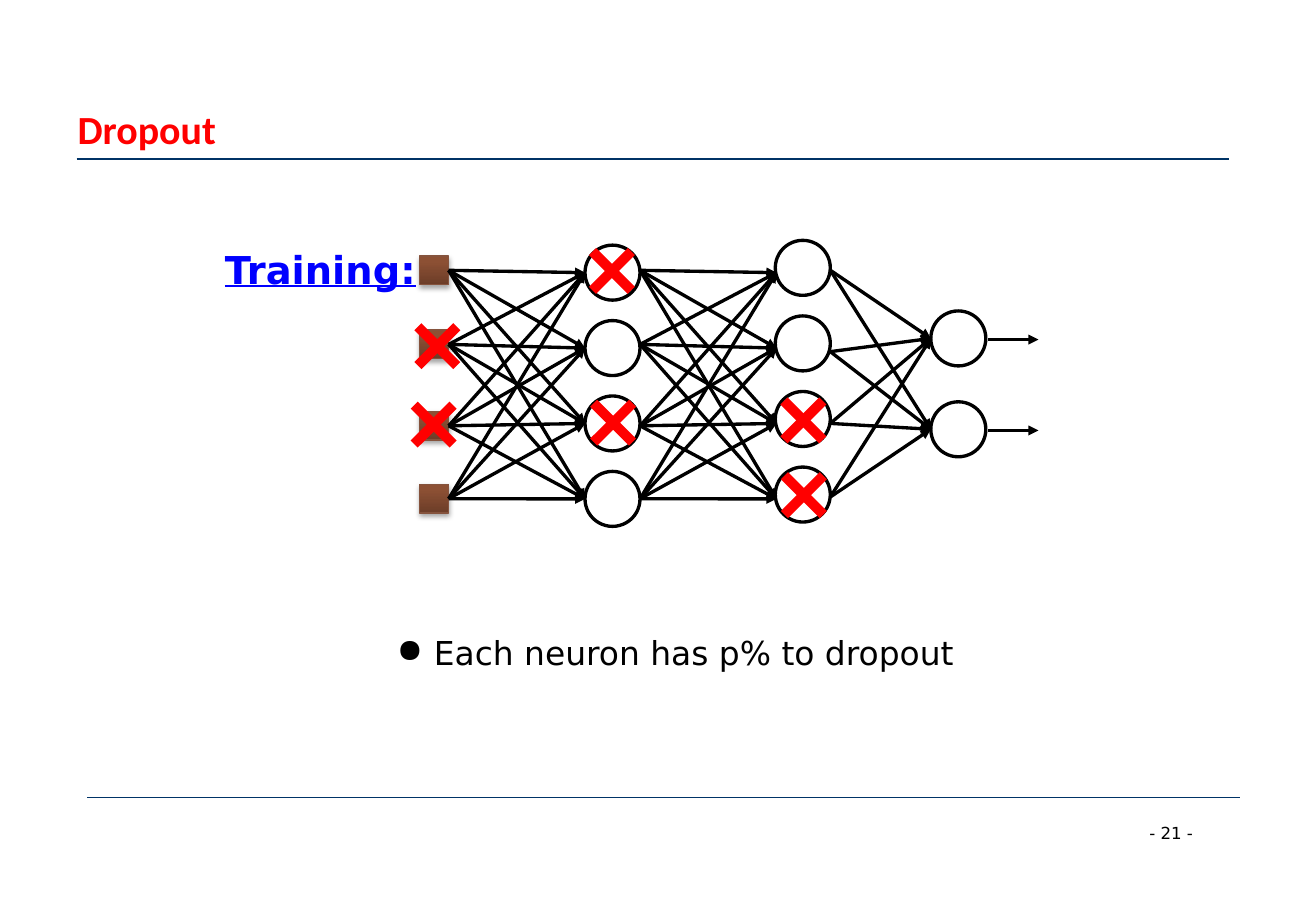
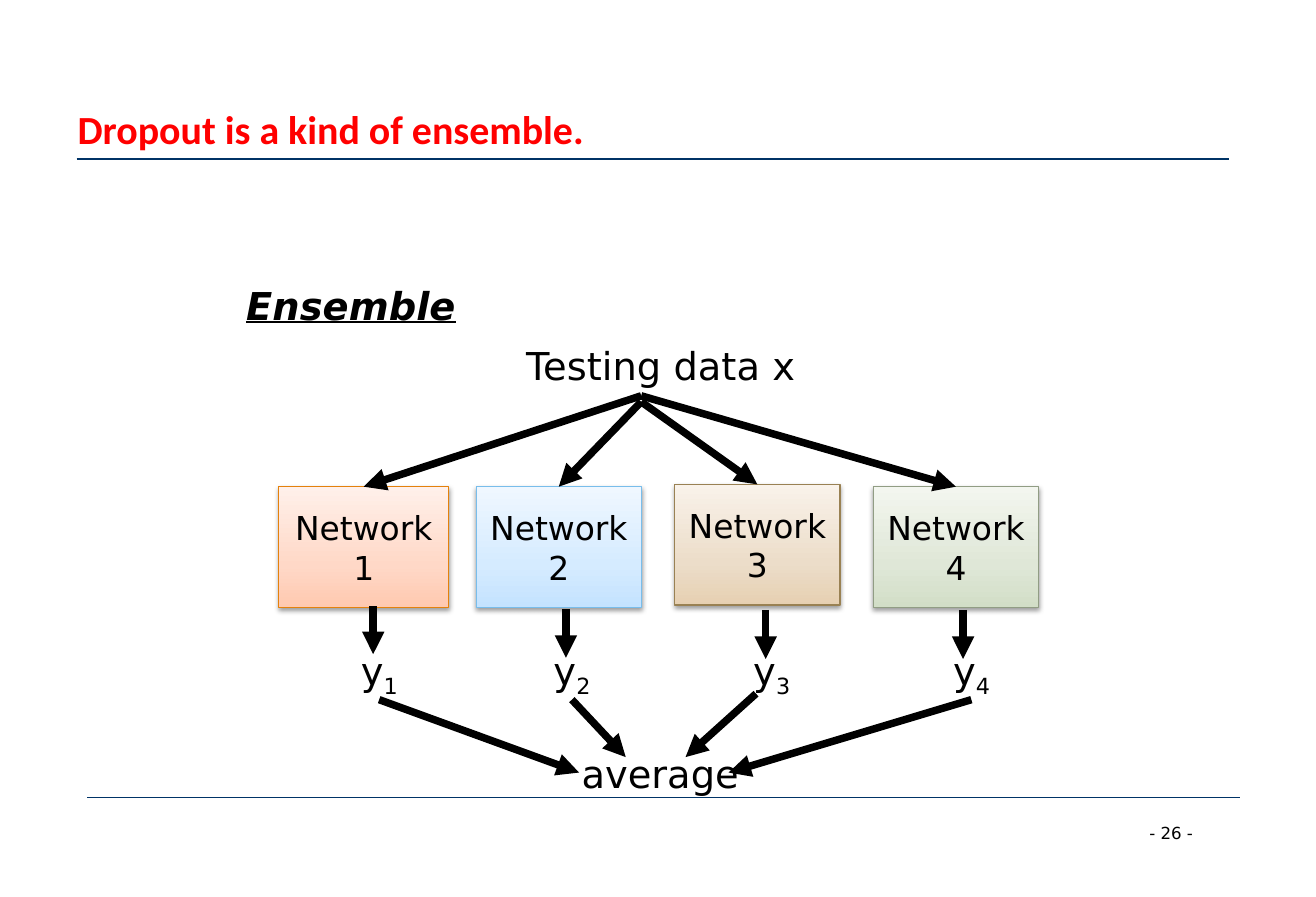
"""Build two slides on dropout: the thinned network and the ensemble view."""
from copy import deepcopy
from dataclasses import dataclass
from itertools import product

from lxml import etree
from pptx import Presentation
from pptx.dml.color import RGBColor
from pptx.enum.shapes import MSO_CONNECTOR, MSO_SHAPE
from pptx.enum.text import MSO_ANCHOR, PP_ALIGN
from pptx.oxml.ns import qn
from pptx.shapes.autoshape import Shape
from pptx.shapes.connector import Connector
from pptx.slide import Slide
from pptx.util import Pt

STRAIGHT = MSO_CONNECTOR.STRAIGHT
RECTANGLE, OVAL = MSO_SHAPE.RECTANGLE, MSO_SHAPE.OVAL
LEFT, CENTER = PP_ALIGN.LEFT, PP_ALIGN.CENTER
TOP, MIDDLE = MSO_ANCHOR.TOP, MSO_ANCHOR.MIDDLE
TOP_SIDE, RIGHT_SIDE = 0, 3

COLOURS = {"ink": "000000", "red": "FF0000", "blue": "0000FF", "rule": "003366",
           "input_edge": "85533D"}
FONT = "DejaVu Sans"
FORMATS = {
    "title": {"name": "Calibri", "size": Pt(24), "bold": True},
    "number": {"name": FONT, "size": Pt(10)},
    "training": {"name": FONT, "size": Pt(23.1), "bold": True, "underline": True},
    "ensemble": {"name": FONT, "size": Pt(23.1), "bold": True, "italic": True,
                 "underline": True},
    "label": {"name": FONT, "size": Pt(23.1)},
    "body": {"name": FONT, "size": Pt(19.8)},
}
LABEL_HEIGHT = 35.3
NEURON_SIZE = 33.1
INPUT_SIZE = 17.3
INPUT_LEFT = 252.7
INPUT_TOPS = (154.1, 198.7, 247.7, 291.6)
INPUT_STOPS = ((0, "6C3D28"), (80, "8C5034"), (100, "8E4F32"))
CROSS_ARM = 11.7
CROSS_CENTRES = ((368.3, 163.1), (369, 254.5), (483.5, 253.1), (483.8, 298.1),
                 (261, 255.6), (263.2, 208.4))

Point = tuple[float, float]
Stops = tuple[tuple[int, str], ...]


@dataclass(frozen=True)
class Layer:
    """A column of equally spaced neurons."""
    left: float
    top: float
    step: float
    count: int

    def tops(self) -> list[float]:
        """Return the top of every neuron."""
        return [self.top + self.step * row for row in range(self.count)]

    def centres(self) -> list[float]:
        """Return the vertical centre of every neuron."""
        return [top + NEURON_SIZE / 2 for top in self.tops()]


@dataclass(frozen=True)
class Network:
    """One ensemble member with its output label and arrows."""
    left: float
    top: float
    width: float
    edge: str
    stops: Stops
    source: Point
    output_left: float
    drop: tuple[float, float, float]
    vote: tuple[Point, Point]


FIRST_HIDDEN = Layer(352.1, 147.6, 45.4, 4)
SECOND_HIDDEN = Layer(466.6, 144.7, 45.5, 4)
OUTPUT = Layer(560.2, 187.2, 54.7, 2)

NETWORKS = (
    Network(167.8, 293, 102.2, "E4810C",
            ((0, "FFC9B0"), (35, "FFD8C7"), (100, "FFF0EA")),
            (385.9, 238.3), 203.8, (224.6, 365, 393.8), ((228.2, 421.2), (348.5, 465.1))),
    Network(286.6, 293, 99.4, "78BDEB",
            ((0, "C4E3FF"), (35, "D5EBFF"), (100, "EFF7FF")),
            (385.9, 241.9), 319.7, (340.6, 366.5, 396), ((344.2, 421.2), (376.6, 455.8))),
    Network(406.1, 291.6, 99.4, "998153",
            ((0, "E6D0B2"), (35, "ECDDC9"), (100, "F9F2EA")),
            (385.9, 241.9), 439.9, (460.8, 367.2, 396.7), ((455, 417.6), (412.6, 455.8))),
    Network(525.6, 293, 99.4, "919D84",
            ((0, "D2DEC7"), (35, "DFE7D7"), (100, "F3F6EF")),
            (385.9, 238.3), 560.2, (579.6, 367.2, 396.7), ((584.6, 421.2), (438.5, 465.1))),
)


def write(box: Shape, lines: list[str], style: str, colour: str = "ink",
          align: PP_ALIGN = LEFT, anchor: MSO_ANCHOR = TOP, wrap: bool = True,
          subscript: str = "") -> None:
    """Fill a shape with formatted paragraphs and an optional subscript."""
    frame = box.text_frame
    frame.word_wrap = wrap
    frame.vertical_anchor = anchor
    for index, line in enumerate(lines):
        para = frame.paragraphs[0] if index == 0 else frame.add_paragraph()
        para.alignment = align
        for text in filter(None, (line, subscript)):
            span = para.add_run()
            span.text = text
            span.font.color.rgb = RGBColor.from_string(COLOURS[colour])
            for name, value in FORMATS[style].items():
                setattr(span.font, name, value)
        if subscript:
            span.font._element.set("baseline", "-25000")


def add_text(page: Slide, left: float, top: float, width: float, height: float,
             text: str, style: str, **options) -> Shape:
    """Add a text box with one paragraph."""
    box = page.shapes.add_textbox(Pt(left), Pt(top), Pt(width), Pt(height))
    write(box, [text], style, **options)
    return box


def add_line(shapes, start: Point, end: Point, width: float = 2,
             colour: str = "ink", arrow: bool = True) -> Connector:
    """Add a straight line, with an arrowhead at its end if wanted."""
    line = shapes.add_connector(STRAIGHT, *map(Pt, start + end))
    line.line.color.rgb = RGBColor.from_string(COLOURS[colour])
    line.line.width = Pt(width)
    properties = line._element.spPr
    if arrow:
        etree.SubElement(properties.find(qn("a:ln")), qn("a:tailEnd"), type="triangle")
    etree.SubElement(properties, qn("a:effectLst"))
    return line


def add_gradient_box(page: Slide, left: float, top: float, width: float, height: float,
                     stops: Stops, edge: str, opacity: int, distance: float) -> Shape:
    """Add a rectangle shaded from bottom to top, with a soft shadow."""
    box = page.shapes.add_shape(RECTANGLE, Pt(left), Pt(top), Pt(width), Pt(height))
    box.fill.gradient()
    box.fill.gradient_angle = 90
    stop_list = box._element.spPr.find(qn("a:gradFill")).find(qn("a:gsLst"))
    stop_list.append(deepcopy(stop_list[0]))
    for stop, (position, colour) in zip(box.fill.gradient_stops, stops):
        stop.position = position / 100
        stop.color.rgb = RGBColor.from_string(colour)
    box.line.color.rgb = RGBColor.from_string(edge)
    box.line.width = Pt(0.75)
    box.shadow.inherit = False
    shadow = etree.SubElement(
        box._element.spPr.find(qn("a:effectLst")), qn("a:outerShdw"),
        blurRad=str(Pt(3.1)), dist=str(Pt(distance)), dir="5400000", rotWithShape="0")
    tint = etree.SubElement(shadow, qn("a:srgbClr"), val=COLOURS["ink"])
    etree.SubElement(tint, qn("a:alpha"), val=str(opacity * 1000))
    return box


def add_page(deck, title: str, number: int) -> Slide:
    """Add a slide with the shared title, rules and page number."""
    page = deck.slides.add_slide(deck.slide_layouts[6])
    for left, top in ((46.1, 95.8), (52.6, 480.2)):
        add_line(page.shapes, (left, top), (left + 693.4, top), 0.75, "rule", False)
    add_text(page, 684.7, 491.8, 48.2, 19.4, f"- {number} -", "number", wrap=False)
    add_text(page, 39.6, 59.8, 554.4, 34.6, title, "title", colour="red", anchor=MIDDLE)
    return page


def add_neurons(page: Slide, layer: Layer) -> None:
    """Draw the circles of one layer."""
    for top in layer.tops():
        neuron = page.shapes.add_shape(OVAL, Pt(layer.left), Pt(top),
                                       Pt(NEURON_SIZE), Pt(NEURON_SIZE))
        neuron.fill.background()
        neuron.line.color.rgb = RGBColor.from_string(COLOURS["ink"])
        neuron.line.width = Pt(2)
        neuron.shadow.inherit = False


def add_cross(page: Slide, centre: Point) -> None:
    """Cross out one dropped unit."""
    x, y = centre
    group = page.shapes.add_group_shape()
    for side in (-CROSS_ARM, CROSS_ARM):
        add_line(group.shapes, (x + side, y - CROSS_ARM), (x - side, y + CROSS_ARM),
                 6, "red", False)


def build_dropout(deck) -> None:
    """Draw the network with dropped units."""
    page = add_page(deck, "Dropout", 21)
    add_text(page, 128.2, 144.7, 150.5, LABEL_HEIGHT, "Training:", "training", colour="blue")
    for layer in (FIRST_HIDDEN, SECOND_HIDDEN, OUTPUT):
        add_neurons(page, layer)
    inputs = [add_gradient_box(page, INPUT_LEFT, top, INPUT_SIZE, INPUT_SIZE, INPUT_STOPS,
                               COLOURS["input_edge"], 35, 1.8) for top in INPUT_TOPS]
    input_centres = [top + INPUT_SIZE / 2 for top in INPUT_TOPS]
    first_centres = FIRST_HIDDEN.centres()

    for unit, end in product(inputs, first_centres):
        edge = add_line(page.shapes, (INPUT_LEFT, end), (FIRST_HIDDEN.left, end))
        edge.begin_connect(unit, RIGHT_SIDE)
    for start, end in product(input_centres, first_centres):
        add_line(page.shapes, (FIRST_HIDDEN.left + NEURON_SIZE, start),
                 (SECOND_HIDDEN.left + 0.7, end))
    for start, end in product((162.7, 211.7, 254.9, 299.2), OUTPUT.centres()):
        add_line(page.shapes, (SECOND_HIDDEN.left + NEURON_SIZE, start), (OUTPUT.left, end))
    for centre in OUTPUT.centres():
        add_line(page.shapes, (594.7, centre + 0.7), (625, centre + 0.7))
    for centre in CROSS_CENTRES:
        add_cross(page, centre)

    note = add_text(page, 231.8, 377.3, 417.6, 31, "Each neuron has p% to dropout", "body")
    properties = note.text_frame.paragraphs[0]._p.get_or_add_pPr()
    properties.set("marL", str(Pt(22.3)))
    properties.set("indent", str(-Pt(22.3)))
    etree.SubElement(properties, qn("a:buChar"), char="●")


def build_ensemble(deck) -> None:
    """Draw four networks whose outputs are averaged."""
    page = add_page(deck, "Dropout is a kind of ensemble.", 26)
    add_text(page, 141.1, 166.3, 144, LABEL_HEIGHT, "Ensemble", "ensemble")
    add_text(page, 309.6, 202.3, 179.3, LABEL_HEIGHT, "Testing data x", "label")
    add_text(page, 317.5, 447.8, 159.8, LABEL_HEIGHT, "average", "label", align=CENTER)
    for number, network in enumerate(NETWORKS, 1):
        box = add_gradient_box(page, network.left, network.top, network.width, 72.7,
                               network.stops, network.edge, 38, 1.6)
        write(box, ["Network", str(number)], "body", align=CENTER, anchor=MIDDLE)
        add_text(page, network.output_left, 385.9, 49, LABEL_HEIGHT, "y", "label",
                 align=CENTER, subscript=str(number))
        feed = add_line(page.shapes, network.source, (network.left, network.top), 4.5)
        feed.end_connect(box, TOP_SIDE)
        x, start, end = network.drop
        add_line(page.shapes, (x, start), (x, end), 4.5)
        add_line(page.shapes, *network.vote, 4.5)


def main() -> None:
    """Build and save the deck."""
    deck = Presentation()
    deck.slide_width, deck.slide_height = Pt(792), Pt(540)
    build_dropout(deck)
    build_ensemble(deck)
    deck.save("out.pptx")


if __name__ == "__main__":
    main()
